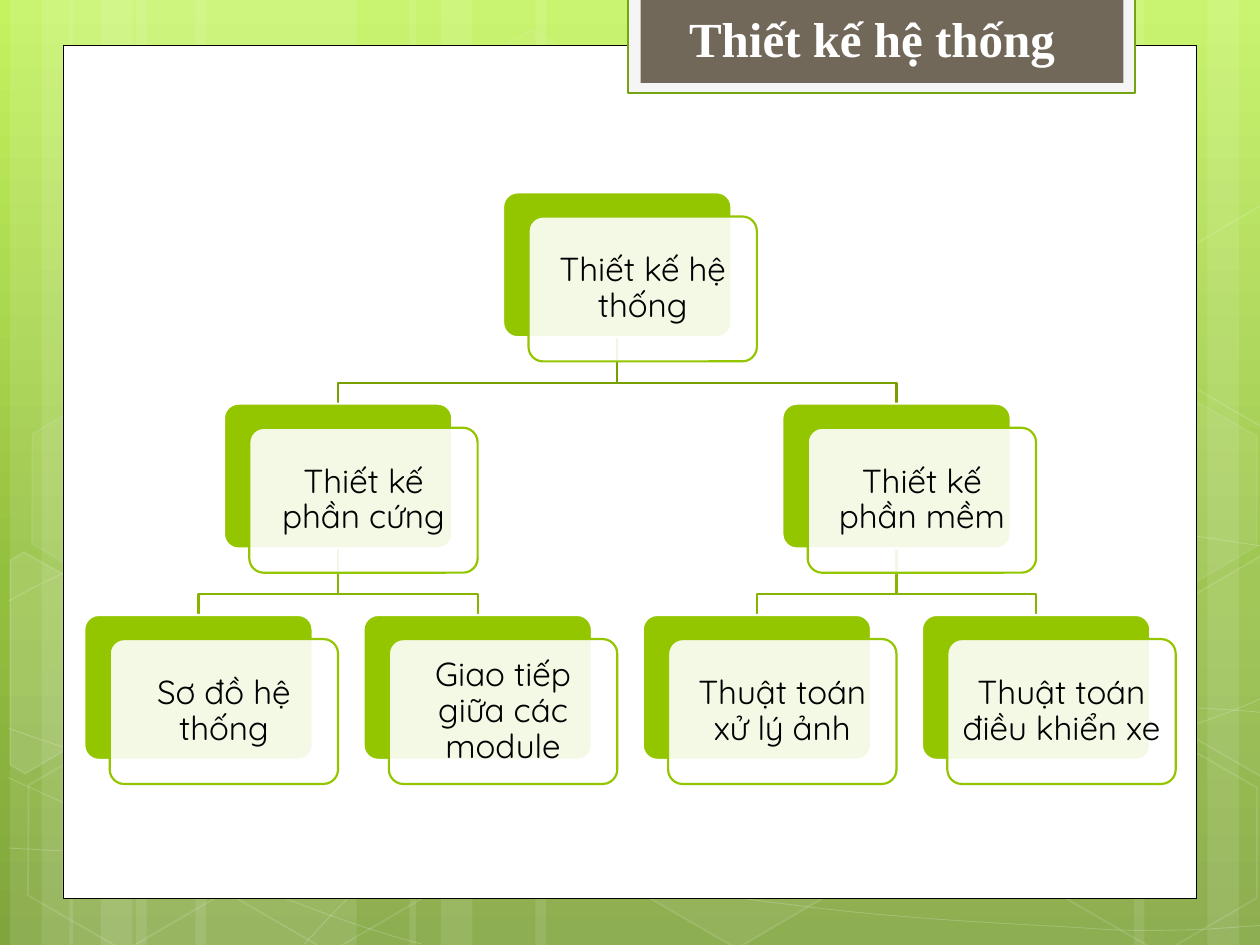
from copy import deepcopy
from dataclasses import dataclass

from lxml.etree import SubElement
from pptx import Presentation
from pptx.dml.color import RGBColor as Rgb
from pptx.enum.shapes import MSO_SHAPE as Shape
from pptx.enum.text import MSO_ANCHOR as Anchor, MSO_AUTO_SIZE as AutoSize, PP_ALIGN as Align
from pptx.oxml.ns import qn
from pptx.util import Pt


@dataclass(frozen=True)
class Theme:
    """Colours, fonts and type sizes of the slide."""
    white: str = "FFFFFF"
    black: str = "000000"
    green: str = "94C600"
    branch_lines: tuple = ("779F00", "86B400")
    tab_fill: str = "F5F5F5"
    tab_line: str = "74A510"
    title_fill: str = "71685A"
    backdrop: tuple = ((0, "C3F35F"), (0.62, "93BF3F"), (1, "81A53E"))
    title_font: str = "Times New Roman"
    card_font: str = "Quicksand"
    title_size: int = 28
    card_size: int = 19


THEME = Theme()
WIDTH, HEIGHT = 720, 540

STRIPES = [(77.8, 126), (5.8, 36), (23.8, 60), (111.6, 126), (39.6, 36), (57.6, 60),
           (528, 126), (690, 36), (648, 60), (306, 222), (234, 36), (252, 60)]

CURVES = [
    [(5, 484.6), (43.9, 486.7), (82.8, 488.9), (136.8, 488.2), (190.8, 487.4), (257.8, 486),
     (329.8, 478.8), (401.8, 471.6), (504, 457.9), (570.2, 444.2), (635.8, 430.6),
     (703.4, 409), (725, 396.7)],
    [(5, 343.4), (25.9, 331.9), (46.8, 321.1), (87.1, 310.3), (128.2, 299.5), (186.5, 283.7),
     (249.8, 278.6), (313.9, 273.6), (391.7, 272.9), (470.9, 278.6), (550.1, 284.4),
     (681.8, 306.7), (725, 312.5)],
    [(4.3, 444.2), (91.4, 483.8), (177.8, 523.4), (240.5, 539.3)],
    [(5, 416.2), (27.4, 424.1), (50.4, 432), (92.2, 443.5), (133.9, 454.3), (196.6, 472.3),
     (257, 484.6), (316.8, 496.8), (392.4, 509.8), (452.2, 517), (511.9, 524.9), (576, 527.8),
     (614.2, 529.9), (651.6, 532.8), (661.7, 531.4), (680.4, 531.4), (699.1, 530.6),
     (712.1, 529.2), (725, 528.5)],
    [(174.2, 539.3), (187.2, 524.9), (200.2, 510.5), (217.4, 497.5), (234.7, 484.6),
     (259.2, 470.2), (279.4, 460.1), (299.5, 450), (311.8, 445.7), (338.4, 438.5),
     (364.3, 431.3), (412.6, 421.2), (437.8, 416.2), (463.7, 411.1), (467.3, 411.1),
     (489.6, 409.7), (511.9, 407.5), (547.2, 405.4), (571.7, 404.6), (596.9, 403.9),
     (637.9, 404.6), (637.9, 404.6), (654, 404.6), (670, 404.6), (686.2, 404.6),
     (699.1, 405.4), (711.4, 406.1), (717.8, 406.8), (724.3, 407.5), (722.2, 406.8),
     (724.3, 407.5)],
]

HEXAGONS = [(240.5, 25.9, 4, 8), (357.8, 424.1, 6, 12), (7.9, 425.5, 0, 12),
            (10.1, 224.6, 7, 8), (125.3, 426.2, 0, 12), (542.2, 326.2, 10, 12),
            (600.5, 427, 0, 12), (600.5, 226.1, 7, 8)]

CUT_HEXAGONS = [
    ([(5.8, 320.4), (13.7, 315.4), (69.1, 347), (68.4, 410.4), (14.4, 442.1), (5.8, 437)], 10),
    ([(666.7, 349.2), (720.7, 317.5), (726.5, 321.1), (726.5, 441.4), (721.4, 444.2),
      (666.7, 412.6)], 4),
    ([(666.7, 149), (720.7, 117.4), (727.2, 121), (726.5, 241.2), (721.4, 244.1),
      (666.7, 212.4)], 0),
]

TREE = ("Thiết kế hệ thống", [
    ("Thiết kế phần cứng", [("Sơ đồ hệ thống", []), ("Giao tiếp giữa các module", [])]),
    ("Thiết kế phần mềm", [("Thuật toán xử lý ảnh", []), ("Thuật toán điều khiển xe", [])]),
])
TREE_LEFT, TREE_TOP = 48.2, 109.9
COLUMN_STEP, LEVEL_STEP = 159.55, 120.75
CARD_WIDTH, CARD_HEIGHT = 130.5, 82.8
FRONT_SHIFT_X, FRONT_SHIFT_Y = 14.5, 13.8
BRANCH_DROP = 26


def apply_format(target, values):
    """Set each named attribute of the target."""
    for name, value in values.items():
        setattr(target, name, value)


def paint_solid(fill, color, opacity):
    """Give a fill one colour, or none where nothing would show."""
    if color is None or opacity == 0:
        fill.background()
        return
    fill.solid()
    fill.fore_color.rgb = Rgb.from_string(color)


def paint(shape, fill=None, opacity=100, line=None, line_width=1, line_opacity=100):
    """Set fill and line of a shape and drop its shadow."""
    shape.shadow.inherit = False
    paint_solid(shape.fill, fill, opacity)
    paint_solid(shape.line.fill, line, line_opacity)
    if line:
        shape.line.width = Pt(line_width)
    properties = shape.element.spPr
    for place, percent in (("a:solidFill", opacity), ("a:ln/a:solidFill", line_opacity)):
        color = properties.find("/".join(map(qn, (place + "/a:srgbClr").split("/"))))
        if color is not None and percent < 100:
            SubElement(color, qn("a:alpha"), val=str(percent * 1000))


def add_box(slide, kind, left, top, width, height, **style):
    """Add a painted preset shape."""
    shape = slide.shapes.add_shape(kind, Pt(left), Pt(top), Pt(width), Pt(height))
    paint(shape, **style)
    return shape


def add_outline(slide, points, close=False, **style):
    """Add a painted freeform through the points."""
    start, *rest = [(Pt(x), Pt(y)) for x, y in points]
    builder = slide.shapes.build_freeform(*start)
    builder.add_line_segments(rest, close=close)
    shape = builder.convert_to_shape()
    paint(shape, **style)
    return shape


def add_curve(slide, points, **style):
    """Add a freeform whose points after the first form cubic Bézier triples."""
    shape = add_outline(slide, points, **style)
    outline = shape.element.find(".//" + qn("a:path"))
    segments = outline.findall(qn("a:lnTo"))
    for first in range(0, len(segments), 3):
        curve = SubElement(outline, qn("a:cubicBezTo"))
        for segment in segments[first:first + 3]:
            curve.append(segment[0])
            outline.remove(segment)


def add_backdrop(slide):
    """Add the gradient, stripes, curves and hexagons."""
    fill = slide.background.fill
    fill.gradient()
    fill.gradient_angle = 270
    stops = slide.element.find(".//" + qn("a:gsLst"))
    stops.insert(1, deepcopy(stops[0]))
    for stop, (position, color) in zip(fill.gradient_stops, THEME.backdrop):
        stop.color.rgb = Rgb.from_string(color)
        stop.position = position
    white = THEME.white
    for left, width in STRIPES:
        add_box(slide, Shape.RECTANGLE, left, 0, width, HEIGHT, fill=white, opacity=10)
    for points in CURVES:
        add_curve(slide, points, line=white, line_width=0.5, line_opacity=20)
    for left, top, opacity, line_opacity in HEXAGONS:
        hexagon = add_box(slide, Shape.HEXAGON, left, top, 126, 109.4, fill=white,
                          opacity=opacity, line=white, line_opacity=line_opacity)
        hexagon.rotation = 30
        hexagon.adjustments[0] = 0.285
    for points, opacity in CUT_HEXAGONS:
        add_outline(slide, points, close=True, fill=white, opacity=opacity,
                    line=white, line_opacity=12)


def write_text(shape, text, frame_format, paragraph_format, font_format, color):
    """Write one formatted paragraph into a shape."""
    frame = shape.text_frame
    frame.text = text
    paragraph = frame.paragraphs[0]
    apply_format(frame, {"word_wrap": True, "auto_size": AutoSize.NONE, **frame_format})
    apply_format(paragraph, paragraph_format)
    font = paragraph.runs[0].font
    apply_format(font, font_format)
    font.color.rgb = Rgb.from_string(color)


def add_title(slide, text):
    """Add the panel and tab, and set the title on top of them."""
    add_box(slide, Shape.RECTANGLE, 36, 25.9, 648, 487.3, fill=THEME.white,
            line=THEME.black, line_width=0.5)
    add_box(slide, Shape.RECTANGLE, 359, -1.4, 289.6, 54.6, fill=THEME.tab_fill,
            line=THEME.tab_line, line_width=1.25)
    add_box(slide, Shape.RECTANGLE, 366, -1.4, 276, 48.8, fill=THEME.title_fill)
    title = slide.shapes.title
    title.element.getparent().append(title.element)
    apply_format(title, {"left": Pt(386.6), "top": Pt(12.2), "width": Pt(255.6), "height": Pt(30.2)})
    write_text(title, text, {"vertical_anchor": Anchor.BOTTOM}, {"alignment": Align.LEFT},
               {"name": THEME.title_font, "size": Pt(THEME.title_size), "bold": True}, THEME.white)


def place_tree(node, first_column=0, level=0):
    """Return cards and branches with parents centred over their children."""
    text, children = node
    cards, branches, columns, column = [], [], [], first_column
    for child in children:
        child_cards, child_branches, column = place_tree(child, column, level + 1)
        cards += child_cards
        branches += child_branches
        columns.append(child_cards[0][1])
    own_column = sum(columns) / len(columns) if columns else first_column
    branches += [(own_column, child_column, level) for child_column in columns]
    return [(text, own_column, level)] + cards, branches, max(column, first_column + 1)


def add_branch(slide, parent_column, child_column, level):
    """Add an elbow line from a parent card to a child card."""
    start, end = (TREE_LEFT + column * COLUMN_STEP + CARD_WIDTH / 2
                  for column in (parent_column, child_column))
    top = TREE_TOP + level * LEVEL_STEP + CARD_HEIGHT
    bend, bottom = top + BRANCH_DROP, TREE_TOP + (level + 1) * LEVEL_STEP
    add_outline(slide, [(start, top), (start, bend), (end, bend), (end, bottom)],
                line=THEME.branch_lines[level], line_width=1.25)


def add_card(slide, text, column, level):
    """Add a green card with a translucent text card in front."""
    left, top = TREE_LEFT + column * COLUMN_STEP, TREE_TOP + level * LEVEL_STEP
    back = add_box(slide, Shape.ROUNDED_RECTANGLE, left, top, CARD_WIDTH, CARD_HEIGHT,
                   fill=THEME.green, line=THEME.white, line_width=1.25)
    front = add_box(slide, Shape.ROUNDED_RECTANGLE, left + FRONT_SHIFT_X, top + FRONT_SHIFT_Y,
                    CARD_WIDTH, CARD_HEIGHT, fill=THEME.white, opacity=90,
                    line=THEME.green, line_width=1.25)
    back.adjustments[0] = front.adjustments[0] = 0.1
    margins = {f"margin_{side}": Pt(6) for side in ("left", "right", "top", "bottom")}
    write_text(front, text, {"vertical_anchor": Anchor.MIDDLE, **margins},
               {"alignment": Align.CENTER, "line_spacing": 0.9},
               {"name": THEME.card_font, "size": Pt(THEME.card_size)}, THEME.black)


def main():
    """Build and save the slide."""
    presentation = Presentation()
    apply_format(presentation, {"slide_width": Pt(WIDTH), "slide_height": Pt(HEIGHT)})
    slide = presentation.slides.add_slide(presentation.slide_layouts[5])
    add_backdrop(slide)
    add_title(slide, "Thiết kế hệ thống")
    cards, branches, _ = place_tree(TREE)
    for branch in branches:
        add_branch(slide, *branch)
    for card in cards:
        add_card(slide, *card)
    presentation.save("out.pptx")


if __name__ == "__main__":
    main()
